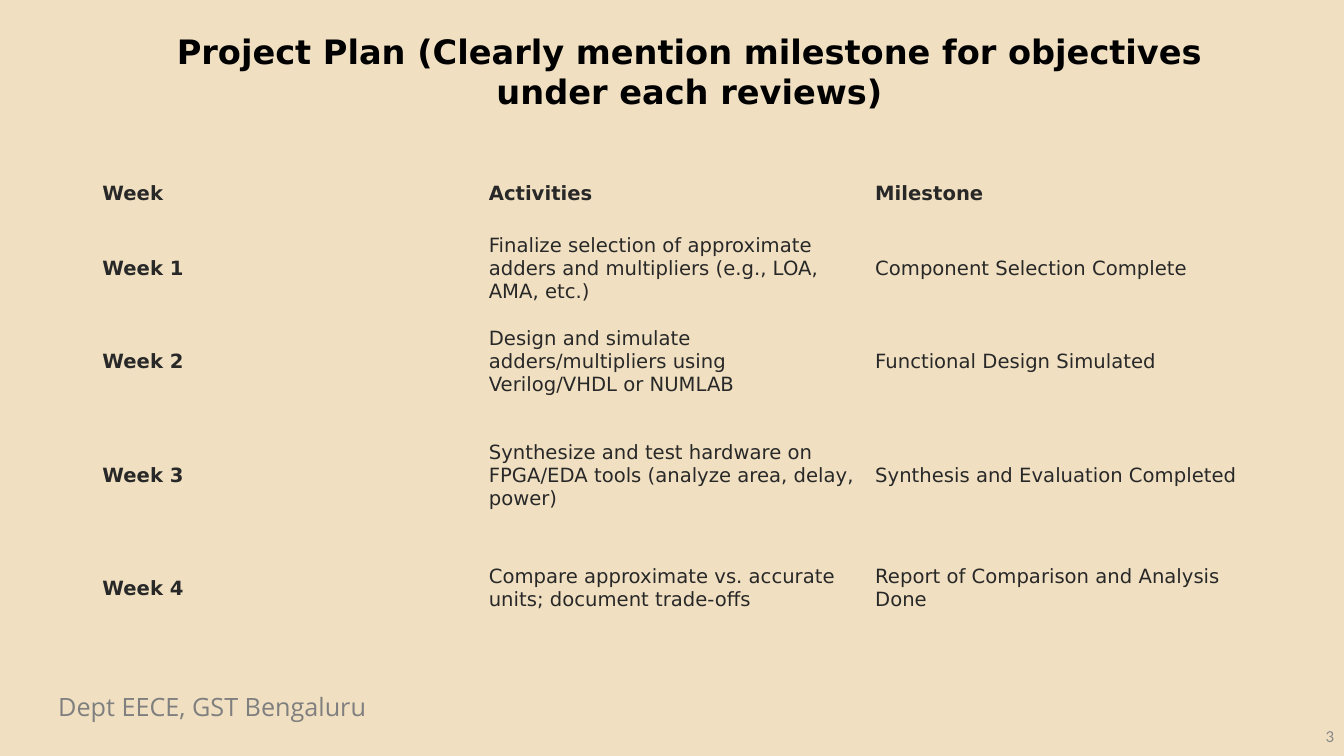
"""Build the project plan slide with its weekly milestone table."""
from lxml import etree
from pptx import Presentation
from pptx.dml.color import RGBColor
from pptx.enum.text import MSO_ANCHOR, PP_ALIGN
from pptx.oxml.ns import qn
from pptx.util import Pt

LEFT, CENTER, RIGHT = PP_ALIGN.LEFT, PP_ALIGN.CENTER, PP_ALIGN.RIGHT
TOP, MIDDLE = MSO_ANCHOR.TOP, MSO_ANCHOR.MIDDLE

PLAN = [
    ("Week", "Activities", "Milestone"),
    ("Week 1", "Finalize selection of approximate adders and multipliers (e.g., LOA, AMA, etc.)",
     "Component Selection Complete"),
    ("Week 2", "Design and simulate adders/multipliers using Verilog/VHDL or NUMLAB",
     "Functional Design Simulated"),
    ("Week 3", "Synthesize and test hardware on FPGA/EDA tools (analyze area, delay, power)",
     "Synthesis and Evaluation Completed"),
    ("Week 4", "Compare approximate vs. accurate units; document trade-offs",
     "Report of Comparison and Analysis Done"),
]
ROW_HEIGHTS = [39.6, 66.8, 66.8, 95, 66.8]


def color(value):
    return RGBColor.from_string(value)


class PlanSlide:
    body_font = "DejaVu Sans"
    background = "F0E0C1"
    body_color = "282828"

    def __init__(self, deck):
        self.page = deck.slides.add_slide(deck.slide_layouts[6])
        fill = self.page.background.fill
        fill.solid()
        fill.fore_color.rgb = color(self.background)

    def style(self, paragraph, size, tint, bold=False, font=body_font):
        for span in paragraph.runs:
            span.font.name = font
            span.font.size = Pt(size)
            span.font.bold = bold
            span.font.color.rgb = color(tint)

    def text(self, words, left, top, width, height, size, tint,
             align=LEFT, anchor=TOP, **look):
        box = self.page.shapes.add_textbox(Pt(left), Pt(top), Pt(width), Pt(height))
        frame = box.text_frame
        frame.word_wrap = True
        frame.vertical_anchor = anchor
        frame.text = words
        frame.paragraphs[0].alignment = align
        self.style(frame.paragraphs[0], size, tint, **look)

    def clear_cell(self, cell):
        properties = cell._tc.get_or_add_tcPr()
        for side in ("a:lnL", "a:lnR", "a:lnT", "a:lnB"):
            border = etree.SubElement(properties, qn(side))
            etree.SubElement(border, qn("a:noFill"))
        cell.fill.background()

    def table(self, rows, heights, left, top, width, size):
        shape = self.page.shapes.add_table(
            len(rows), len(rows[0]), Pt(left), Pt(top), Pt(width), Pt(sum(heights)))
        table = shape.table
        table.first_row = table.horz_banding = False
        for row, height in zip(table.rows, heights):
            row.height = Pt(height)
        for r, row in enumerate(rows):
            for c, words in enumerate(row):
                cell = table.cell(r, c)
                self.clear_cell(cell)
                cell.vertical_anchor = MIDDLE
                cell.text_frame.text = words
                self.style(cell.text_frame.paragraphs[0], size, self.body_color,
                           bold=r == 0 or c == 0)


def main():
    deck = Presentation()
    deck.slide_width, deck.slide_height = Pt(960), Pt(540)
    plan = PlanSlide(deck)
    plan.text("Dept EECE, GST Bengaluru", 34.5, 490.3, 377, 29, 18, "7F7F7F",
              font="Open Sans")
    plan.text("3", 744, 511.2, 216, 28.8, 12, "888888", RIGHT, MIDDLE, font="Calibri")
    plan.text("Project Plan (Clearly mention milestone for objectives under each reviews)",
              78.5, 18.3, 828, 39, 24, "000000", CENTER, bold=True)
    plan.table(PLAN, ROW_HEIGHTS, 66, 118.8, 828, 14)
    deck.save("out.pptx")


if __name__ == "__main__":
    main()
